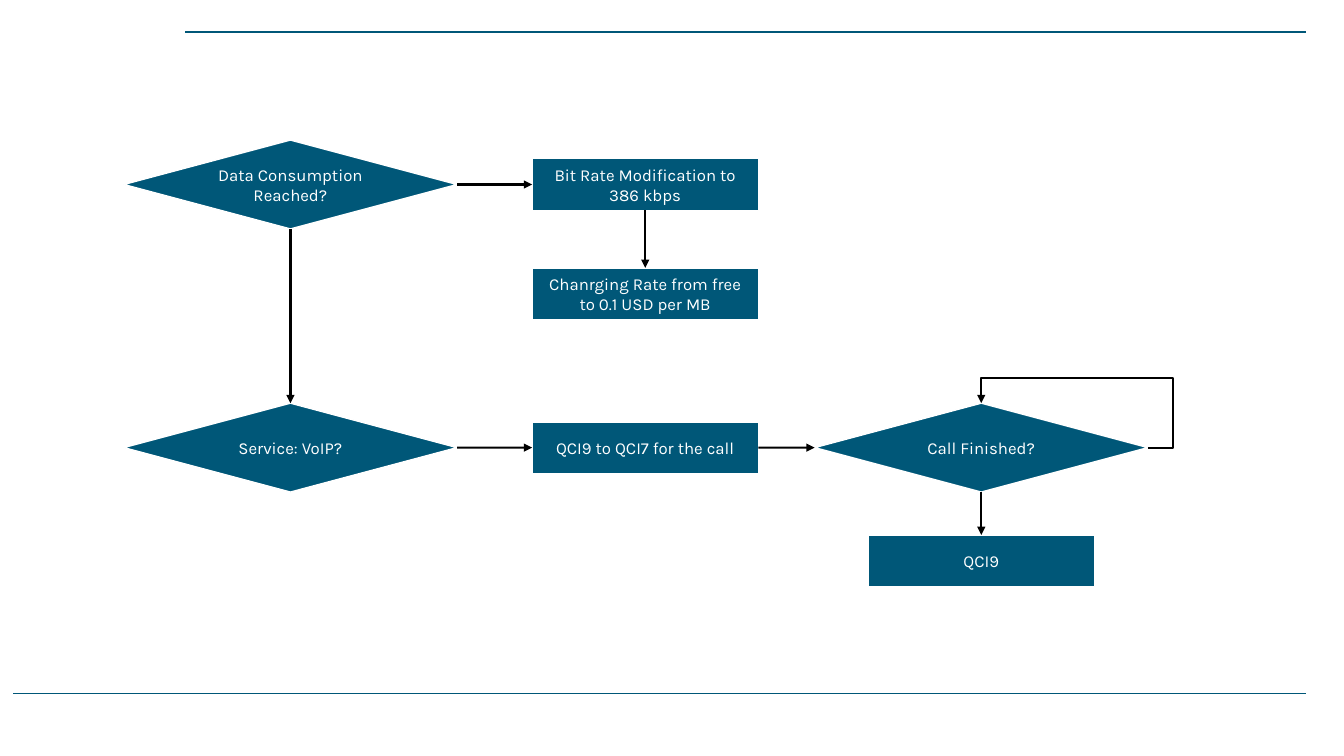
from lxml import etree
from pptx import Presentation
from pptx.dml.color import RGBColor
from pptx.enum.shapes import MSO_CONNECTOR as CONN, MSO_SHAPE as SHAPE
from pptx.enum.text import MSO_ANCHOR, PP_ALIGN
from pptx.oxml.ns import qn
from pptx.util import Cm, Pt

TEAL = RGBColor(0x00, 0x57, 0x78)
WHITE = RGBColor(0xFF, 0xFF, 0xFF)
BLACK = RGBColor(0x00, 0x00, 0x00)
FONT = "Karla"

COL_1, COL_2, COL_3 = 7.32, 16.26, 24.73
ROW_1, ROW_2, ROW_3, ROW_4 = 4.65, 7.4, 11.28, 14.13
TOP, LEFT, BOTTOM, RIGHT = range(4)


def write(shape, text, size=12, color=WHITE):
    tf = shape.text_frame
    tf.word_wrap = True
    tf.vertical_anchor = MSO_ANCHOR.MIDDLE
    p = tf.paragraphs[0]
    p.alignment = PP_ALIGN.CENTER
    r = p.add_run()
    r.text = text
    r.font.name = FONT
    r.font.size = Pt(size)
    r.font.color.rgb = color


def add_node(s, kind, x, y, width, height, text):
    sp = s.shapes.add_shape(kind, Cm(x - width / 2), Cm(y - height / 2),
                            Cm(width), Cm(height))
    sp.shadow.inherit = False
    sp.fill.solid()
    sp.fill.fore_color.rgb = TEAL
    sp.line.color.rgb = WHITE
    sp.line.width = Pt(1)
    write(sp, text)
    return sp


def add_decision(s, x, y, text):
    return add_node(s, SHAPE.FLOWCHART_DECISION, x, y, 8.4, 2.24, text)


def add_step(s, x, y, text):
    return add_node(s, SHAPE.RECTANGLE, x, y, 5.7, 1.3, text)


def style_line(cxn, color, width):
    cxn.line.color.rgb = color
    cxn.line.width = Pt(width)
    etree.SubElement(cxn._element.spPr, qn("a:effectLst"))


def add_rule(s, x1, x2, y):
    cxn = s.shapes.add_connector(CONN.STRAIGHT, Cm(x1), Cm(y), Cm(x2), Cm(y))
    style_line(cxn, TEAL, 1)


def add_arrow(s, start, start_site, end, end_site, kind=CONN.STRAIGHT):
    cxn = s.shapes.add_connector(kind, 0, 0, 0, 0)
    cxn.begin_connect(start, start_site)
    cxn.end_connect(end, end_site)
    style_line(cxn, BLACK, 1.5)
    etree.SubElement(cxn.line._get_or_add_ln(), qn("a:tailEnd"), type="triangle")
    return cxn


def add_loop(s, node):
    cxn = add_arrow(s, node, RIGHT, node, TOP, CONN.ELBOW)
    geom = cxn._element.spPr.find(qn("a:prstGeom"))
    geom.set("prst", "bentConnector4")
    guides = geom.find(qn("a:avLst"))
    for name, value in (("adj1", -15100), ("adj2", 156700)):
        etree.SubElement(guides, qn("a:gd"), name=name, fmla=f"val {value}")


def main():
    prs = Presentation()
    prs.slide_width, prs.slide_height = Cm(33.87), Cm(19.05)
    s = prs.slides.add_slide(prs.slide_layouts[6])

    add_rule(s, 4.67, 32.92, 0.81)
    add_rule(s, 0.33, 32.92, 17.48)

    consumption = add_decision(s, COL_1, ROW_1, "Data Consumption Reached?")
    bit_rate = add_step(s, COL_2, ROW_1, "Bit Rate Modification to 386 kbps")
    charging = add_step(s, COL_2, ROW_2, "Chanrging Rate from free to 0.1 USD per MB")
    voip = add_decision(s, COL_1, ROW_3, "Service: VoIP?")
    upgrade = add_step(s, COL_2, ROW_3, "QCI9 to QCI7 for the call")
    finished = add_decision(s, COL_3, ROW_3, "Call Finished?")
    restored = add_step(s, COL_3, ROW_4, "QCI9")

    for start, end in ((consumption, bit_rate), (voip, upgrade), (upgrade, finished)):
        add_arrow(s, start, RIGHT, end, LEFT)
    for start, end in ((consumption, voip), (bit_rate, charging), (finished, restored)):
        add_arrow(s, start, BOTTOM, end, TOP)
    add_loop(s, finished)

    prs.save("out.pptx")


main()
